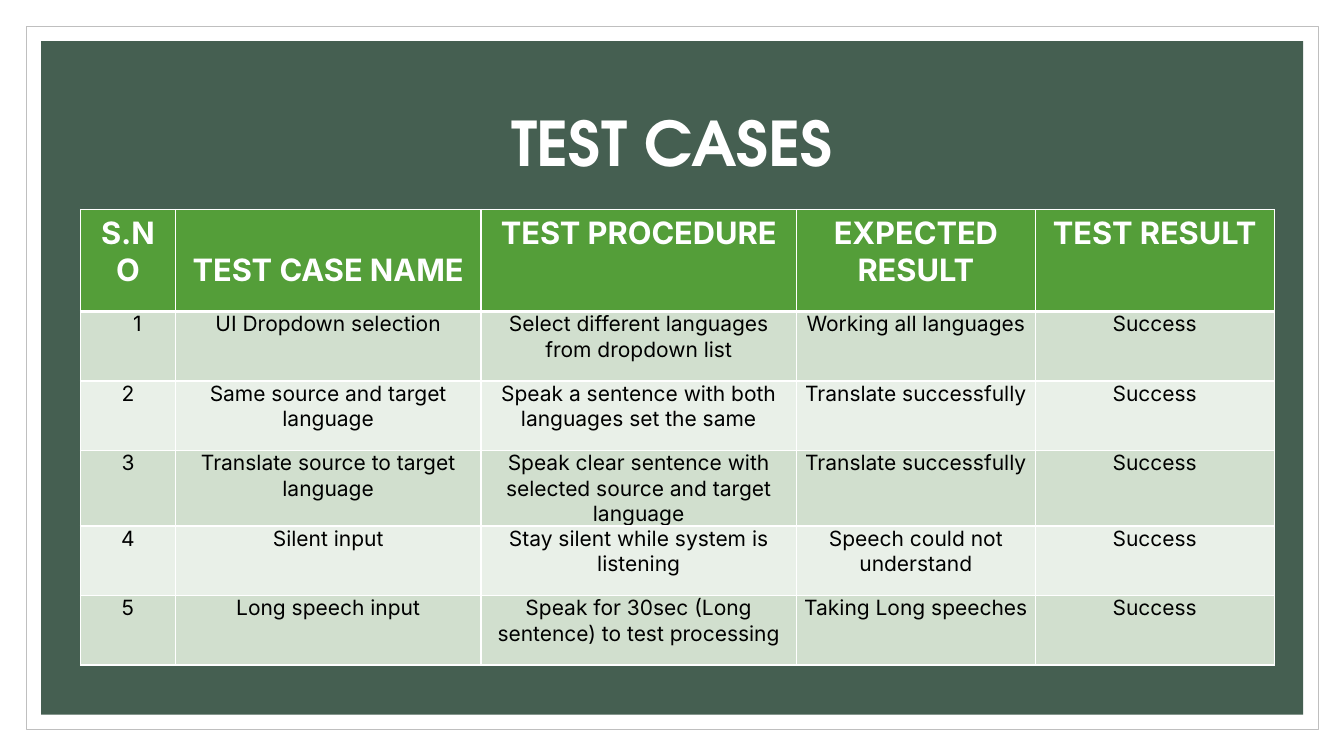
from lxml import etree
from pptx import Presentation
from pptx import util as u
from pptx.dml import color
from pptx.enum import shapes, text
from pptx.oxml import ns

COLORS = {"white": "FFFFFF", "frame": "BFBFBF", "panel": "455F51", "header": "549E39",
          "odd": "D1DFCE", "even": "E9F0E8", "ink": "000000"}
COLUMNS = [2.39, 7.7, 7.95, 6.02, 6.02]
ROWS = [2.57] + [1.75] * 5
CASES = [
    ["S.NO", "TEST CASE NAME", "TEST PROCEDURE", "EXPECTED RESULT", "TEST RESULT"],
    ["1", "UI Dropdown selection", "Select different languages from dropdown list",
     "Working all languages", "Success"],
    ["2", "Same source and target language", "Speak a sentence with both languages set the same",
     "Translate successfully", "Success"],
    ["3", "Translate source to target language",
     "Speak clear sentence with selected source and target language",
     "Translate successfully", "Success"],
    ["4", "Silent input", "Stay silent while system is listening",
     "Speech could not understand", "Success"],
    ["5", "Long speech input", "Speak for 30sec (Long sentence) to test processing",
     "Taking Long speeches", "Success"],
]


class SlideBuilder:
    """Holds the deck style and draws elements on the current page."""

    def __init__(self, page):
        self.page = page
        self.heading_font = "TeX Gyre Adventor"
        self.body_font = "Inter"

    def rgb(self, name):
        return color.RGBColor.from_string(COLORS[name])

    def style(self, para, font, size, ink, bold):
        para.alignment = text.PP_ALIGN.CENTER
        for span in para.runs:
            span.font.name = font
            span.font.size = u.Pt(size)
            span.font.bold = bold
            span.font.color.rgb = self.rgb(ink)

    def panel(self, left, top, width, height, fill, line=None):
        box = self.page.shapes.add_shape(
            shapes.MSO_SHAPE.RECTANGLE, u.Cm(left), u.Cm(top), u.Cm(width), u.Cm(height))
        box.shadow.inherit = False
        box.fill.solid()
        box.fill.fore_color.rgb = self.rgb(fill)
        if line:
            box.line.color.rgb = self.rgb(line)
            box.line.width = u.Pt(0.5)
        else:
            box.line.fill.background()

    def title(self, left, top, width, height, wording):
        box = self.page.shapes.add_textbox(u.Cm(left), u.Cm(top), u.Cm(width), u.Cm(height))
        frame = box.text_frame
        frame.word_wrap = True
        frame.vertical_anchor = text.MSO_ANCHOR.MIDDLE
        frame.text = wording
        para = frame.paragraphs[0]
        para.line_spacing = 0.9
        self.style(para, self.heading_font, 44, "white", True)

    def borders(self, cell, top, bottom):
        properties = cell._tc.get_or_add_tcPr()
        widths = {"a:lnL": 1, "a:lnR": 1, "a:lnT": top, "a:lnB": bottom}
        for index, (tag, points) in enumerate(widths.items()):
            line = etree.Element(ns.qn(tag), w=str(u.Pt(points)))
            fill = etree.SubElement(line, ns.qn("a:solidFill"))
            etree.SubElement(fill, ns.qn("a:srgbClr"), val=COLORS["white"])
            properties.insert(index, line)

    def cell(self, cell, wording, row):
        header = row == 0
        cell.text = wording
        cell.fill.solid()
        cell.fill.fore_color.rgb = self.rgb("header" if header else "odd" if row % 2 else "even")
        if not header:
            cell.margin_left = cell.margin_right = u.Cm(0.18)
            cell.margin_top = cell.margin_bottom = 0
        self.borders(cell, 3 if row == 1 else 1, 3 if header else 1)
        self.style(cell.text_frame.paragraphs[0], self.body_font,
                   22 if header else 15, "white" if header else "ink", header)

    def table(self, left, top, columns, rows, content):
        grid = self.page.shapes.add_table(
            len(rows), len(columns), u.Cm(left), u.Cm(top),
            u.Cm(sum(columns)), u.Cm(sum(rows))).table
        for column, width in zip(grid.columns, columns):
            column.width = u.Cm(width)
        for row, height in enumerate(rows):
            grid.rows[row].height = u.Cm(height)
            for column, wording in enumerate(content[row]):
                self.cell(grid.cell(row, column), wording, row)
        return grid


def main():
    deck = Presentation()
    deck.slide_width, deck.slide_height = u.Cm(33.87), u.Cm(19.05)
    builder = SlideBuilder(deck.slides.add_slide(deck.slide_layouts[6]))
    builder.panel(0.66, 0.66, 32.56, 17.73, "white", "frame")
    builder.panel(1.04, 1.04, 31.8, 16.97, "panel")
    builder.title(2.97, 1.78, 27.94, 3.81, "TEST CASES")
    cases = builder.table(2.03, 5.28, COLUMNS, ROWS, CASES)
    cases.cell(0, 1).margin_top = u.Cm(1.07)
    cases.cell(1, 0).margin_left = u.Cm(0.66)
    deck.save("out.pptx")


if __name__ == "__main__":
    main()
